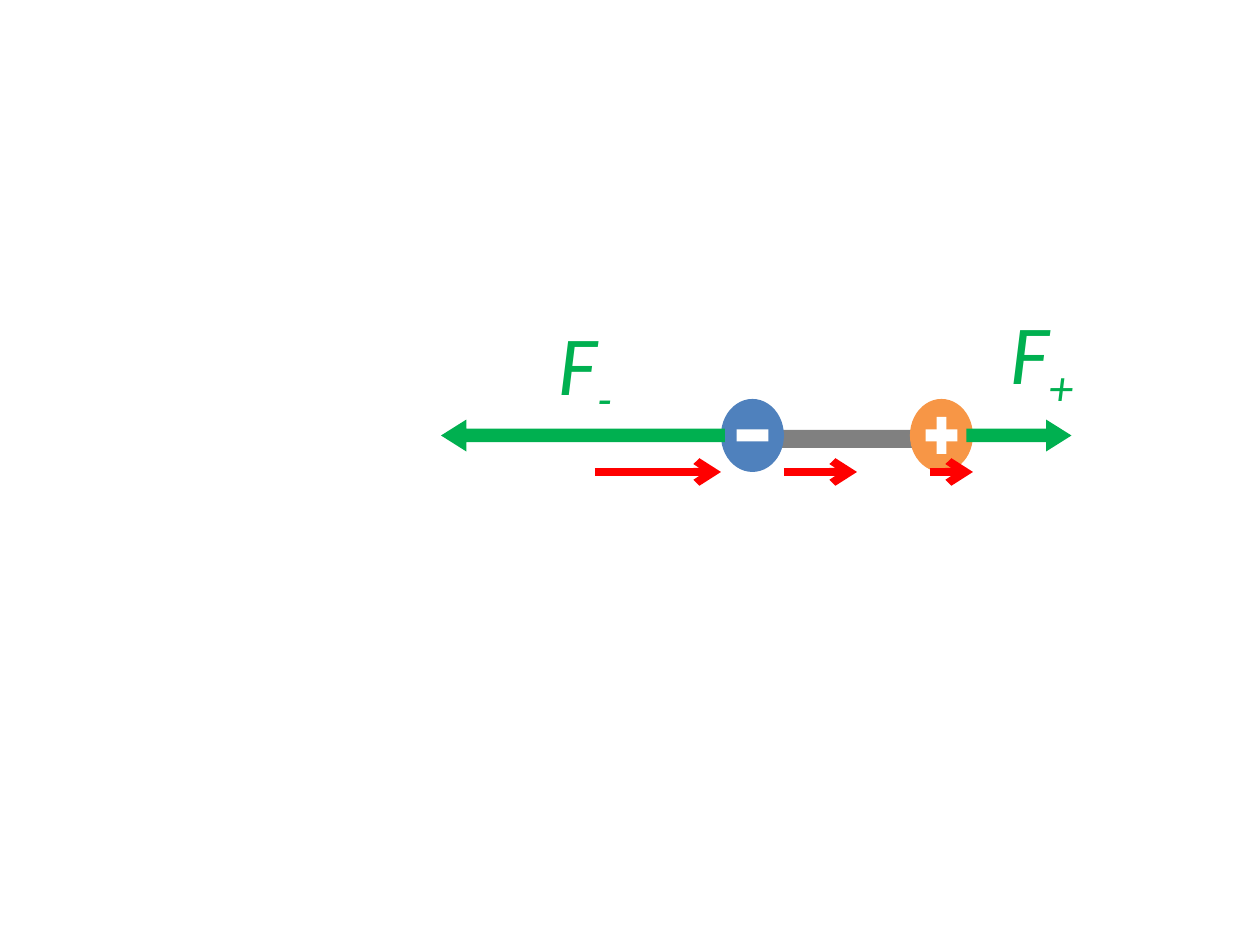
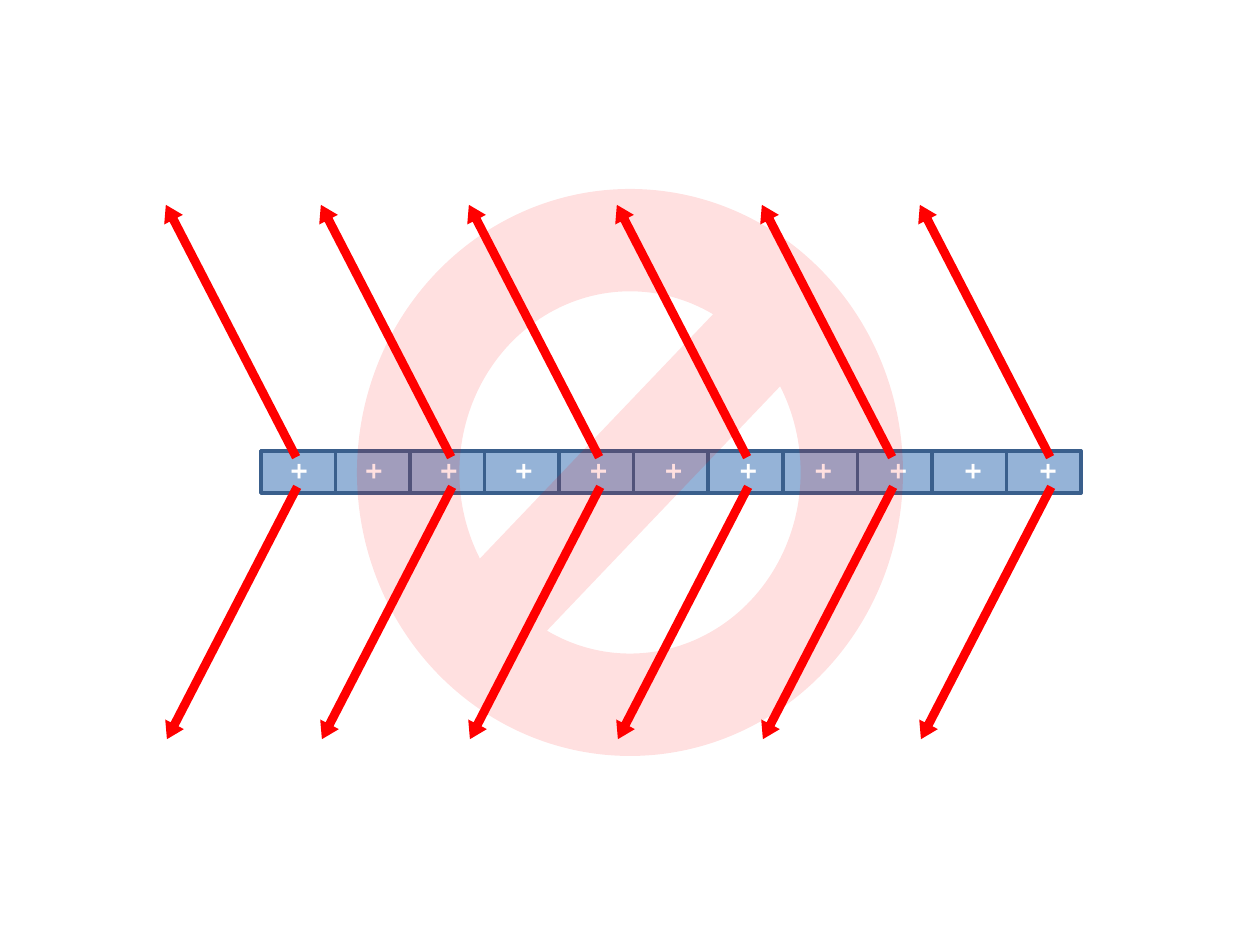
from lxml import etree
from pptx import Presentation, util as u
from pptx.dml.color import RGBColor
from pptx.enum import shapes, text
from pptx.oxml.ns import qn

PX_PER_INCH = 126
FONT = "Calibri"
WHITE = RGBColor(0xFF, 0xFF, 0xFF)
RED = RGBColor(0xFF, 0x00, 0x00)
GREEN = RGBColor(0x00, 0xB0, 0x50)
GREY = RGBColor(0x80, 0x80, 0x80)
BLUE = RGBColor(0x4F, 0x81, 0xBD)
ORANGE = RGBColor(0xF7, 0x96, 0x46)
BAR_BLUE = RGBColor(0x95, 0xB3, 0xD7)
BAR_EDGE = RGBColor(0x3A, 0x5F, 0x8C)
KIND = shapes.MSO_SHAPE


def px(n):
    """Turn pixels into EMU."""
    return u.Emu(round(n * 914400 / PX_PER_INCH))


def shape(s, kind, box, fill=None, line=None, rotation=0):
    """Add a preset shape without shadow; no fill or line unless given."""
    sp = s.shapes.add_shape(kind, *map(px, box))
    sp.shadow.inherit = False
    sp.rotation = rotation
    if fill is None:
        sp.fill.background()
    else:
        sp.fill.solid()
        sp.fill.fore_color.rgb = fill
    if line is None:
        sp.line.fill.background()
    else:
        sp.line.color.rgb = line
        sp.line.width = u.Pt(2)
    return sp


def centred(s, kind, cx, cy, w, h, **style):
    """Add a shape around a centre, which suits rotated shapes."""
    return shape(s, kind, (cx - w / 2, cy - h / 2, w, h), **style)


def block_arrow(s, kind, cx, cy, w, h, colour, rotation=0):
    """Add a slim block arrow around a centre."""
    sp = centred(s, kind, cx, cy, w, h, fill=colour, rotation=rotation)
    sp.adjustments[0] = 0.421
    sp.adjustments[1] = 0.795


def charge(s, box, colour, positive):
    """Draw a round charge with its white sign."""
    x, y, w, h = box
    cx, cy = x + w / 2, y + h / 2
    shape(s, KIND.OVAL, box, colour)
    centred(s, KIND.RECTANGLE, cx, cy, 32, 12, fill=WHITE)
    if positive:
        centred(s, KIND.RECTANGLE, cx, cy, 37, 10, fill=WHITE, rotation=90)


def field_arrow(s, x, y, length):
    """Draw a red line ending in an open arrowhead."""
    line = s.shapes.add_connector(
        shapes.MSO_CONNECTOR.STRAIGHT, px(x), px(y), px(x + length), px(y))
    line.line.color.rgb = RED
    line.line.width = u.Pt(4.5)
    ln = line.line._get_or_add_ln()
    etree.SubElement(ln, qn("a:tailEnd"), type="arrow")
    etree.SubElement(line._element.spPr, qn("a:effectLst"))


def force_label(s, box, sign):
    """Write an italic F with the sign as subscript."""
    tf = s.shapes.add_textbox(*map(px, box)).text_frame
    tf.word_wrap = False
    p = tf.paragraphs[0]
    for part in ("F", sign):
        r = p.add_run()
        r.text = part
        r.font.name = FONT
        r.font.size = u.Pt(48)
        r.font.italic = True
        r.font.color.rgb = GREEN
    r._r.get_or_add_rPr().set("baseline", "-25000")


def dipole(s, box):
    """Draw the dipole, the field below it and the forces on both ends."""
    x, y, w, h = box
    cy = y + h / 2
    shape(s, KIND.RECTANGLE, (x + 58, y + 31, 136, 18), GREY)
    charge(s, (x, y, 63, h), BLUE, False)
    charge(s, (x + w - 63, y, 63, h), ORANGE, True)
    for left, length in ((-126, 126), (63, 73), (209, 43)):
        field_arrow(s, x + left, y + h, length)
    force_label(s, (x - 175, y - 94, 82, 115), "-")
    block_arrow(s, KIND.LEFT_ARROW, x - 138, cy, 284, 32, GREEN)
    block_arrow(s, KIND.RIGHT_ARROW, x + w + 46, cy, 105, 32, GREEN)
    force_label(s, (x + w + 25, y - 105, 92, 115), "+")


def charged_bar(s, box, cells=11):
    """Draw a bar of cells, with one plus per cell stacked along it."""
    x, y, w, h = box
    cy, cell = y + h / 2, w / cells
    bar = centred(s, KIND.RECTANGLE, x + w / 2, cy, h, w,
                  fill=BAR_BLUE, line=BAR_EDGE, rotation=270)
    tf = bar.text_frame
    tf.margin_left = tf.margin_right = 0
    tf.vertical_anchor = text.MSO_ANCHOR.MIDDLE
    tf.text = "\n".join("+" * cells)
    for i, p in enumerate(tf.paragraphs):
        p.alignment = text.PP_ALIGN.CENTER
        if i:
            p.space_before = u.Pt(21.2)
        font = p.runs[0].font
        font.name = FONT
        font.size = u.Pt(18)
        font.bold = True
        font.color.rgb = WHITE
    for i in range(cells):
        if i != 1:  # the second cell is bounded by its neighbours
            centred(s, KIND.RECTANGLE, x + (i + 0.5) * cell, cy, h, cell,
                    line=BAR_EDGE, rotation=270)


def field_lines(s, box):
    """Draw slanted arrows leaving the bar, mirrored above and below it."""
    x, y, w, h = box
    for cx in (-30, 125, 273, 421, 566, 724):
        block_arrow(s, KIND.RIGHT_ARROW, x + cx, y - 120, 284, 21, RED, 242.7)
        block_arrow(s, KIND.RIGHT_ARROW, x + cx + 1, y + h + 120, 284, 21,
                    RED, 117.3)


def no_sign(s, box):
    """Lay a pale, mirrored prohibition sign over the box."""
    sp = shape(s, KIND.NO_SYMBOL, box, RED)
    sp._element.spPr.find(qn("a:xfrm")).set("flipH", "1")
    colour = sp._element.spPr.find(qn("a:solidFill"))[0]
    etree.SubElement(colour, qn("a:alpha"), val="12000")


prs = Presentation()
prs.slide_width, prs.slide_height = px(1260), px(945)
blank = prs.slide_layouts[6]

s = prs.slides.add_slide(blank)
dipole(s, (721, 399, 252, 73))

s = prs.slides.add_slide(blank)
bar_box = (261, 451, 820, 42)
charged_bar(s, bar_box)
field_lines(s, bar_box)
no_sign(s, (357, 189, 546, 567))

prs.save("out.pptx")
